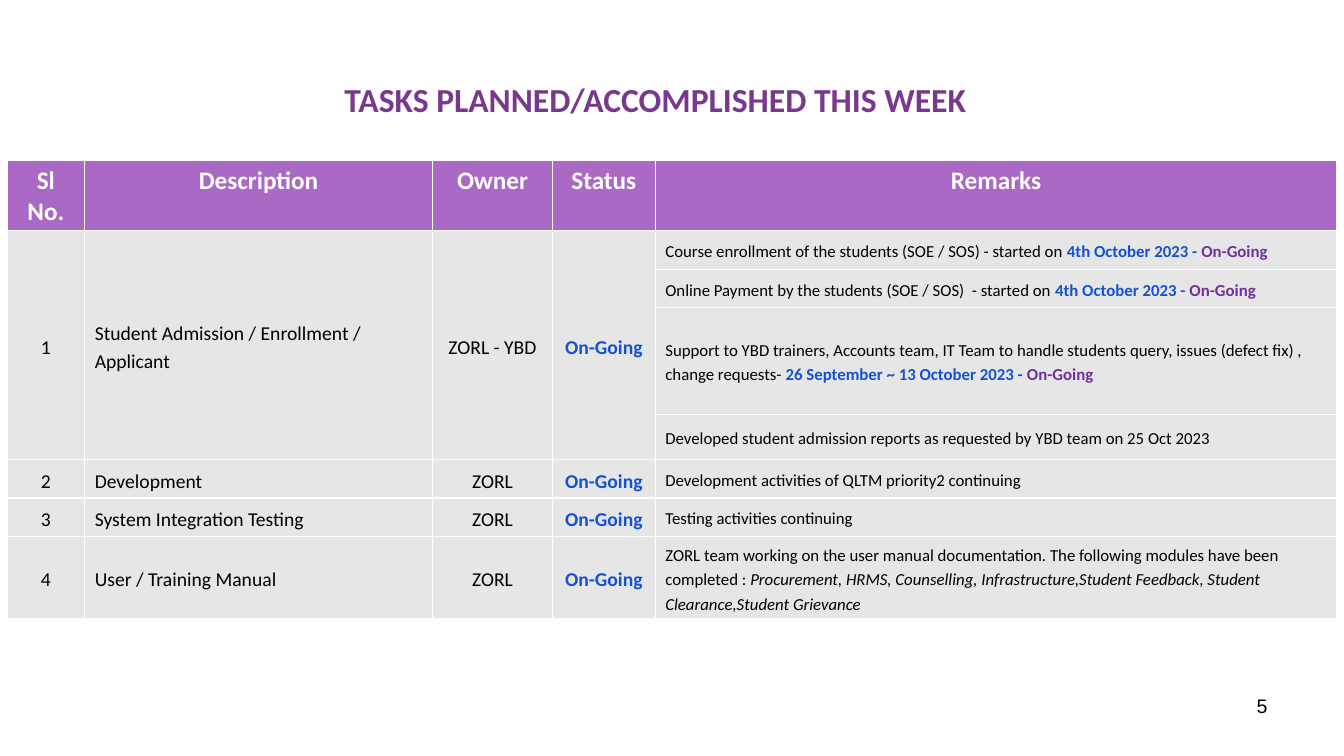
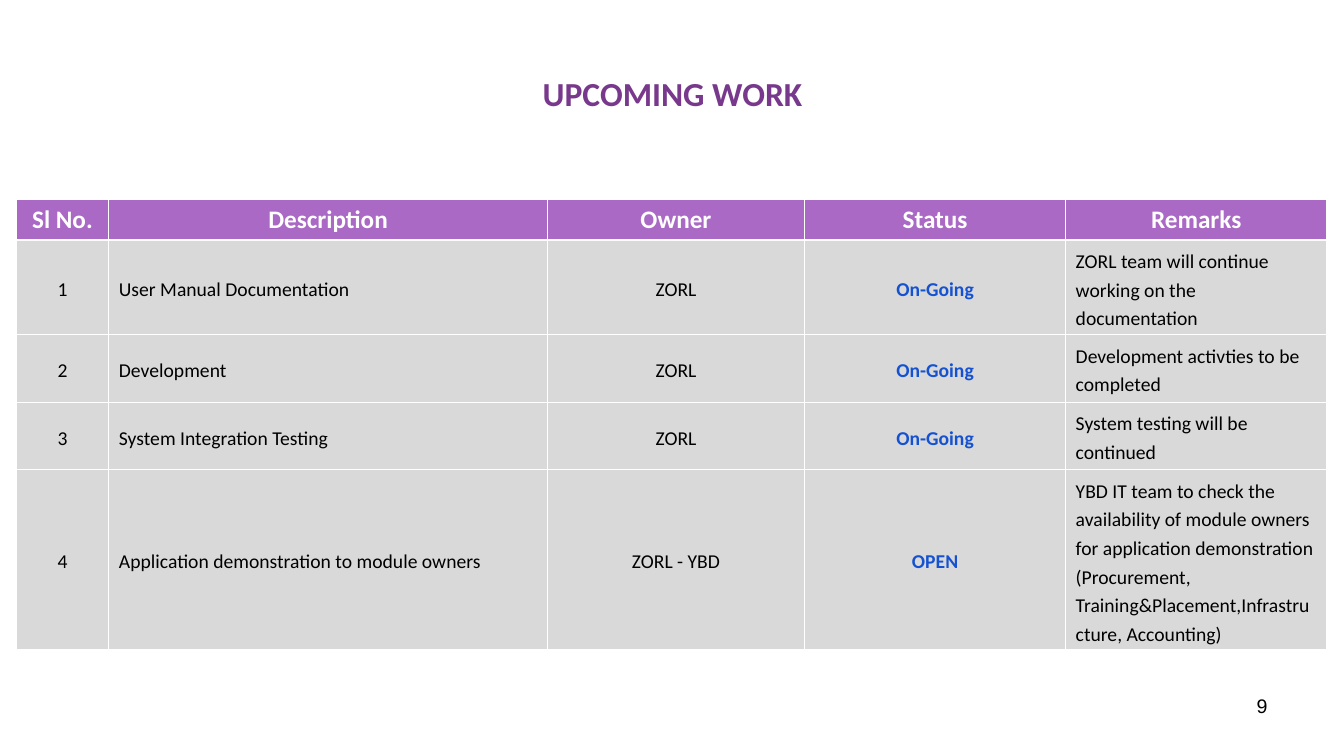
from pptx import Presentation
from pptx import util as u
from pptx.dml.color import RGBColor
from pptx.enum import text
from pptx.oxml import parse_xml
from pptx.oxml.ns import nsdecls

PX = 9144  # EMU in one px, 100 px to the inch
ALIGN, ANCHOR = text.PP_ALIGN, text.MSO_ANCHOR
HEADS = ["Sl No.", "Description", "Owner", "Status", "Remarks"]
MIDS = (0, 2, 3)  # centred columns
STATUS = 3


def rgb(code):
    return RGBColor.from_string(code)


class Deck:
    # Shared style
    FONT = "Calibri"
    TITLE, HEAD, EDGE = "78398D", "A969C4", "FFFFFF"
    INK, BLUE, PLUM = "000000", "1552D1", "7030A0"

    def __init__(self, wide, high):
        self.prs = Presentation()
        self.prs.slide_width, self.prs.slide_height = wide * PX, high * PX
        self.slide = None

    def style(self, run, size, color, bold=False, italic=False, face=FONT):
        font = run.font
        font.name, font.size, font.bold, font.italic = face, u.Pt(size), bold, italic
        font.color.rgb = rgb(color)

    def page(self, number):
        self.slide = self.prs.slides.add_slide(self.prs.slide_layouts[5])
        box = self.slide.shapes.add_textbox(956 * PX, 683 * PX, 311 * PX, 52 * PX)
        frame = box.text_frame
        frame.word_wrap = True
        frame.text = str(number)
        para = frame.paragraphs[0]
        para.alignment = ALIGN.RIGHT
        self.style(para.runs[0], 14, self.INK, face="Arial")

    def title(self, words, x, y, w, h, anchor=ANCHOR.MIDDLE):
        shape = self.slide.shapes.title
        shape.left, shape.top, shape.width, shape.height = [n * PX for n in (x, y, w, h)]
        frame = shape.text_frame
        frame.auto_size = text.MSO_AUTO_SIZE.NONE
        frame.vertical_anchor = anchor
        frame.margin_top = frame.margin_bottom = 0
        frame.text = words
        para = frame.paragraphs[0]
        para.alignment = ALIGN.CENTER
        self.style(para.runs[0], 24, self.TITLE, bold=True)

    def paint(self, cell, fill):
        props = cell._tc.get_or_add_tcPr()
        for side in "LRTB":
            props.append(parse_xml(
                f'<a:ln{side} {nsdecls("a")} w="12700"><a:solidFill>'
                f'<a:srgbClr val="{self.EDGE}"/></a:solidFill></a:ln{side}>'))
        cell.fill.solid()
        cell.fill.fore_color.rgb = rgb(fill)

    def head(self, cell, words):
        cell.text = words
        para = cell.text_frame.paragraphs[0]
        para.alignment = ALIGN.CENTER
        self.style(para.runs[0], 18, self.EDGE, bold=True)

    def body(self, cell, parts, col, size):
        """Parts are one string, or pairs of a string and its style."""
        cell.vertical_anchor = ANCHOR.MIDDLE
        para = cell.text_frame.paragraphs[0]
        para.line_spacing = 1.2
        para.alignment = ALIGN.CENTER if col in MIDS else ALIGN.LEFT
        if isinstance(parts, str):
            parts = [(parts, "blue" if col == STATUS else "")]
        inks = {"blue": self.BLUE, "plum": self.PLUM}
        for words, kind in parts:
            run = para.add_run()
            run.text = words
            self.style(run, size, inks.get(kind, self.INK), kind in inks, kind == "italic")

    def table(self, x, y, cols, highs, rows, fill, note, spans=()):
        """A row value of None is covered by a span (first row, last row)."""
        grid = self.slide.shapes.add_table(
            len(highs), len(cols), x * PX, y * PX, sum(cols) * PX, sum(highs) * PX).table
        grid.horz_banding = False
        for col, wide in zip(grid.columns, cols):
            col.width = wide * PX
        for row, high in zip(grid.rows, highs):
            row.height = high * PX
        for c, words in enumerate(HEADS):
            self.paint(grid.cell(0, c), self.HEAD)
            self.head(grid.cell(0, c), words)
        last = len(HEADS) - 1
        for r, row in enumerate(rows, 1):
            for c, parts in enumerate(row):
                cell = grid.cell(r, c)
                self.paint(cell, fill)
                if parts:
                    self.body(cell, parts, c, note if c == last else 14)
        for top, end in spans:
            for c in range(last):
                grid.cell(top, c).merge(grid.cell(end, c))


def dated(words, date):
    return [(words, ""), (date + " - ", "blue"), ("On-Going", "plum")]


def main():
    deck = Deck(1333, 750)
    going = "On-Going"
    under = [None] * 4

    # Tasks of this week
    deck.page(5)
    deck.title("TASKS PLANNED/ACCOMPLISHED THIS WEEK", 50, 41, 1200, 77, ANCHOR.BOTTOM)
    tasks = [
        ["1", "Student Admission / Enrollment / Applicant", "ZORL - YBD", going,
         dated("Course enrollment of the students (SOE / SOS) - started on ",
               "4th October 2023")],
        under + [dated("Online Payment by the students (SOE / SOS)  - started on ",
                       "4th October 2023")],
        under + [dated("Support to YBD trainers, Accounts team, IT Team to handle students "
                       "query, issues (defect fix) , change requests- ",
                       "26 September ~ 13 October 2023")],
        under + ["Developed student admission reports as requested by YBD team on 25 Oct 2023"],
        ["2", "Development", "ZORL", going,
         "Development activities of QLTM priority2 continuing"],
        ["3", "System Integration Testing", "ZORL", going, "Testing activities continuing"],
        ["4", "User / Training Manual", "ZORL", going,
         [("ZORL team working on the user manual documentation. The following modules "
           "have been completed : ", ""),
          ("Procurement, HRMS, Counselling, Infrastructure,Student Feedback, "
           "Student Clearance,Student Grievance", "italic")]],
    ]
    deck.table(7, 159, [77, 345, 119, 102, 676], [40, 38, 38, 106, 45, 38, 38, 38],
               tasks, "E6E6E6", note=12, spans=[(1, 4)])

    # Upcoming work
    deck.page(9)
    deck.title("UPCOMING WORK", 67, 30, 1200, 125)
    plans = [
        ["1", "User Manual Documentation", "ZORL", going,
         "ZORL team will continue working on the documentation"],
        ["2", "Development", "ZORL", going, "Development activties to be completed"],
        ["3", "System Integration Testing", "ZORL", going, "System testing will be continued"],
        ["4", "Application demonstration to module owners", "ZORL - YBD", "OPEN",
         "YBD IT team to check the availability of module owners for application "
         "demonstration (Procurement, Training&Placement,Infrastructure, Accounting)"],
    ]
    deck.table(16, 198, [92, 435, 255, 259, 259], [40] + [67] * 4,
               plans, "D9D9D9", note=14)

    deck.prs.save("out.pptx")


if __name__ == "__main__":
    main()
